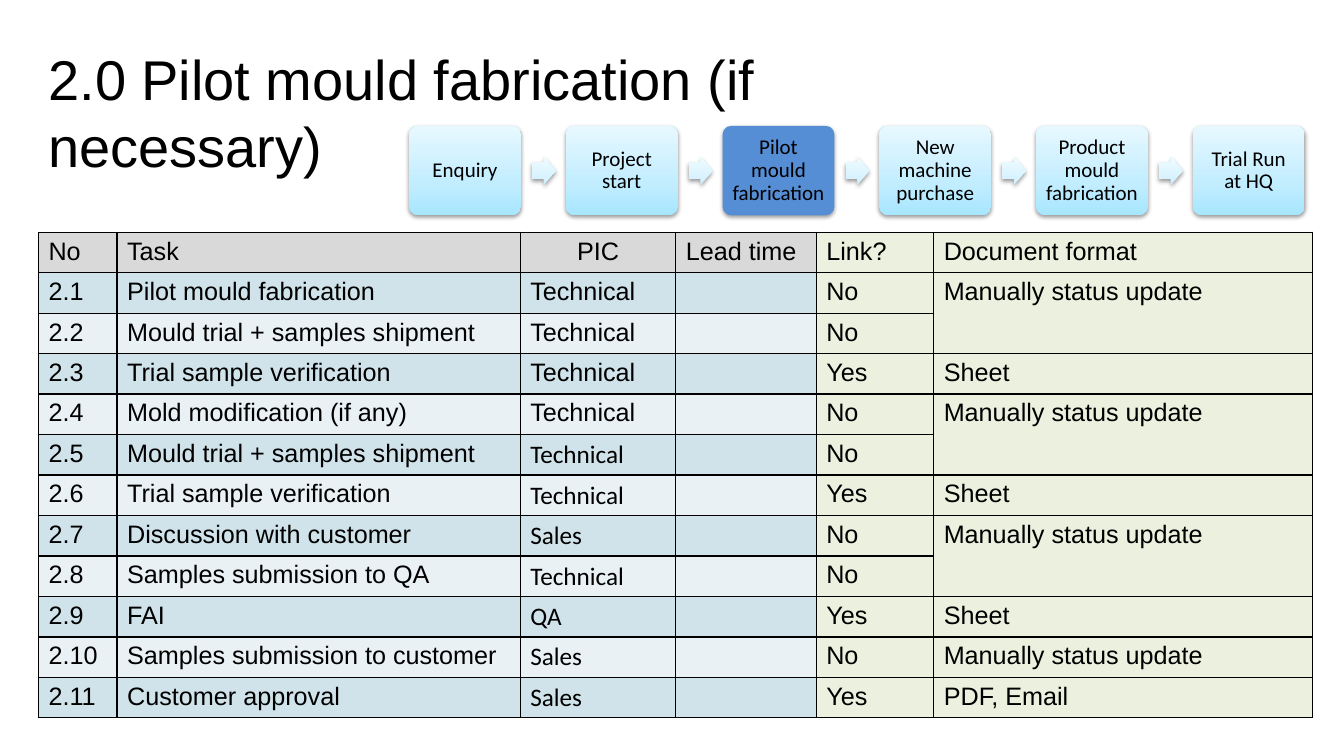
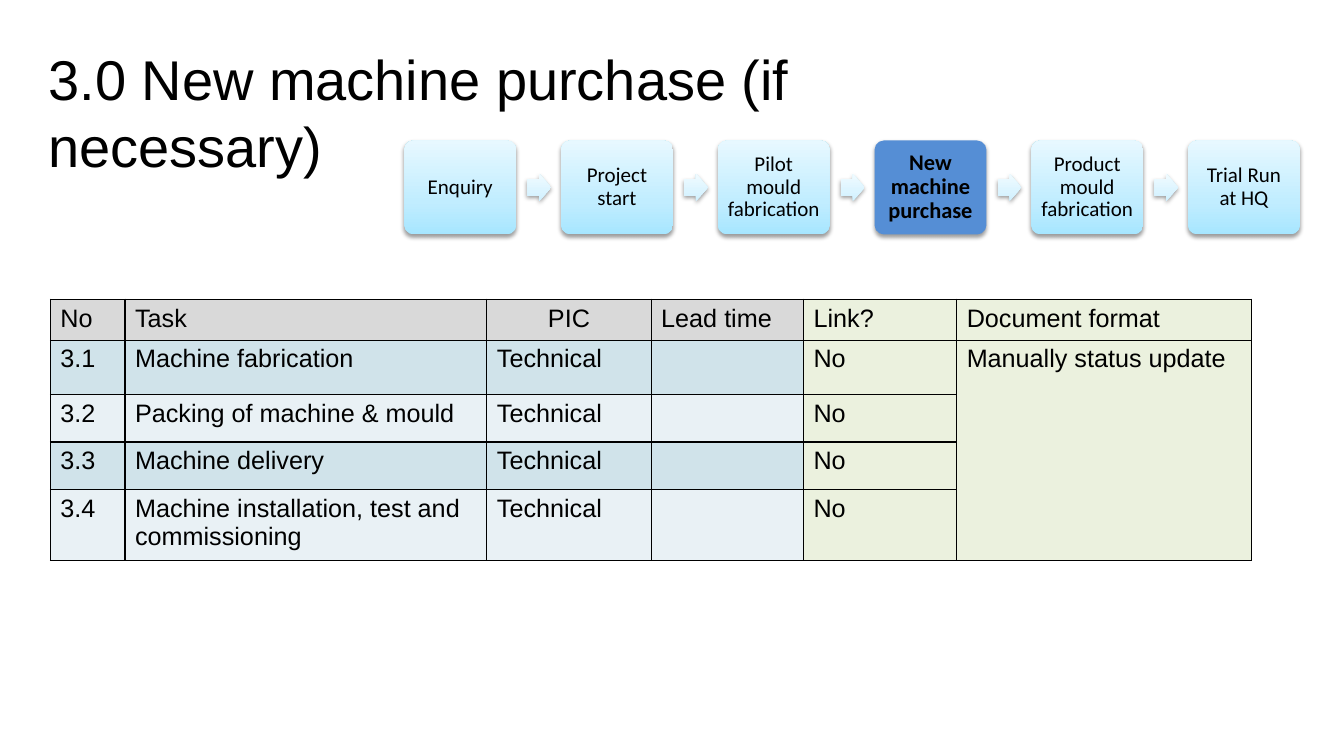
"""Build two project process slides with a stage flow and a task table."""
import lxml.etree
import pptx
import pptx.dml.color
import pptx.enum.shapes
import pptx.enum.text
import pptx.oxml.ns
import pptx.util

Cm = pptx.util.Cm
Pt = pptx.util.Pt
SHAPE = pptx.enum.shapes.MSO_SHAPE
ALIGN = pptx.enum.text.PP_ALIGN
ANCHOR = pptx.enum.text.MSO_ANCHOR
qn = pptx.oxml.ns.qn

INK = "000000"
ACTIVE = "558ED5"
HEADER = "D9D9D9"
STRIPES = ("D0E3EA", "E9F1F5")
DOCUMENT = "EBF1DE"
BOX_STOPS = ((0, "A7E6FF"), (35, "C1EDFF"), (100, "E7F8FF"))
ARROW_STOPS = ((0, "CEF0FF"), (35, "DBF4FF"), (100, "F1FBFF"))

STAGES = ("Enquiry", "Project start", "Pilot mould fabrication",
          "New machine purchase", "Product mould fabrication", "Trial Run at HQ")
STAGE_WIDTH, STAGE_PITCH = 2.82, 3.95
ARROW_OFFSET, ARROW_WIDTH, ARROW_HEIGHT = 3.1, 0.6, 0.7

HEADINGS = ("No", "Task", "PIC", "Lead time", "Link?", "Document format")
PIC, LINK, FORMAT = 2, 4, 5
MANUAL = "Manually status update"
SHEET = "Sheet"
JOINED = None

SLIDES = [
    {
        "title": "2.0 Pilot mould fabrication (if necessary)",
        "title_width": 23.8,
        "flow": {"left": 10.31, "top": 3.17, "height": 2.26,
                 "active": 2, "active_size": 15, "active_bold": False},
        "table": {"left": 0.97, "top": 5.85,
                  "columns": (1.98, 10.16, 3.92, 3.54, 2.96, 9.55),
                  "heights": (1.02,) * 12, "calibri_from": 5},
        "tasks": [
            ("2.1", "Pilot mould fabrication", "Technical", "", "No", MANUAL),
            ("2.2", "Mould trial + samples shipment", "Technical", "", "No", JOINED),
            ("2.3", "Trial sample verification", "Technical", "", "Yes", SHEET),
            ("2.4", "Mold modification (if any)", "Technical", "", "No", MANUAL),
            ("2.5", "Mould trial + samples shipment", "Technical", "", "No", JOINED),
            ("2.6", "Trial sample verification", "Technical", "", "Yes", SHEET),
            ("2.7", "Discussion with customer", "Sales", "", "No", MANUAL),
            ("2.8", "Samples submission to QA", "Technical", "", "No", JOINED),
            ("2.9", "FAI", "QA", "", "Yes", SHEET),
            ("2.10", "Samples submission to customer", "Sales", "", "No", MANUAL),
            ("2.11", "Customer approval", "Sales", "", "Yes", "PDF, Email"),
        ],
    },
    {
        "title": "3.0 New machine purchase (if necessary)",
        "title_width": 24.13,
        "flow": {"left": 10.19, "top": 3.54, "height": 2.37,
                 "active": 3, "active_size": 16, "active_bold": True},
        "table": {"left": 1.27, "top": 7.54,
                  "columns": (1.88, 9.12, 4.14, 3.84, 3.86, 7.42),
                  "heights": (1.03, 1.37, 1.2, 1.2, 1.78), "calibri_from": 5},
        "tasks": [
            ("3.1", "Machine fabrication", "Technical", "", "No", MANUAL),
            ("3.2", "Packing of machine & mould", "Technical", "", "No", JOINED),
            ("3.3", "Machine delivery", "Technical", "", "No", JOINED),
            ("3.4", "Machine installation, test and commissioning",
             "Technical", "", "No", JOINED),
        ],
    },
]


def color(value):
    """Turn a hex string into a colour."""
    return pptx.dml.color.RGBColor.from_string(value)


def element(parent, tag, **attributes):
    """Append an XML element and return it."""
    values = {name: str(value) for name, value in attributes.items()}
    return lxml.etree.SubElement(parent, qn(tag), values)


def style(para, size, font, bold=False):
    """Set the font of a paragraph."""
    para.font.size = Pt(size)
    para.font.name = font
    para.font.bold = bold
    para.font.color.rgb = color(INK)


def add_title(page, text, width):
    """Add the slide title."""
    box = page.shapes.add_textbox(Cm(0.97), Cm(1.0), Cm(width), Cm(1.96))
    box.text_frame.word_wrap = True
    para = box.text_frame.paragraphs[0]
    para.text = text
    style(para, 40, "Arial")


def fill_gradient(shape, stops):
    """Fill a shape with colour stops running from bottom to top."""
    shape.fill.gradient()
    shape.fill.gradient_angle = 90
    stop_list = shape.fill._xPr.find(".//" + qn("a:gsLst"))
    for stop in list(stop_list):
        stop_list.remove(stop)
    for percent, value in stops:
        stop = element(stop_list, "a:gs", pos=percent * 1000)
        element(stop, "a:srgbClr", val=value)


def add_flow_shape(group, kind, left, top, width, height, adjustments):
    """Add an unlined shape with a soft shadow below it."""
    shape = group.shapes.add_shape(kind, Cm(left), Cm(top), Cm(width), Cm(height))
    for index, value in enumerate(adjustments):
        shape.adjustments[index] = value
    shape.line.fill.background()
    shape.shadow.inherit = False
    effects = shape._element.spPr.find(qn("a:effectLst"))
    shadow = element(effects, "a:outerShdw", blurRad=Pt(3.1), dist=Pt(1.6),
                     dir=5400000, rotWithShape=0)
    tint = element(shadow, "a:srgbClr", val=INK)
    element(tint, "a:alpha", val=38000)
    return shape


def add_flow(page, left, top, height, active, active_size, active_bold):
    """Add the row of stages joined by arrows, with one stage marked."""
    group = page.shapes.add_group_shape()
    for index, label in enumerate(STAGES):
        stage_left = left + index * STAGE_PITCH
        stage = add_flow_shape(group, SHAPE.ROUNDED_RECTANGLE, stage_left, top,
                               STAGE_WIDTH, height, (0.1,))
        marked = index == active
        if marked:
            stage.fill.solid()
            stage.fill.fore_color.rgb = color(ACTIVE)
        else:
            fill_gradient(stage, BOX_STOPS)
        frame = stage.text_frame
        frame.word_wrap = True
        frame.vertical_anchor = ANCHOR.MIDDLE
        frame.margin_left = frame.margin_right = Cm(0.14)
        frame.margin_top = frame.margin_bottom = Cm(0.14)
        para = frame.paragraphs[0]
        para.text = label
        para.alignment = ALIGN.CENTER
        para.line_spacing = 0.9
        style(para, active_size if marked else 15, "Calibri", marked and active_bold)
        if index < len(STAGES) - 1:
            arrow = add_flow_shape(group, SHAPE.RIGHT_ARROW, stage_left + ARROW_OFFSET,
                                   top + (height - ARROW_HEIGHT) / 2,
                                   ARROW_WIDTH, ARROW_HEIGHT, (0.6, 0.5))
            fill_gradient(arrow, ARROW_STOPS)


def format_cell(cell, fill):
    """Give a cell thin black borders and a plain fill."""
    properties = cell._tc.get_or_add_tcPr()
    for side in ("a:lnL", "a:lnR", "a:lnT", "a:lnB"):
        line = element(properties, side, w=Pt(1))
        element(element(line, "a:solidFill"), "a:srgbClr", val=INK)
    cell.fill.solid()
    cell.fill.fore_color.rgb = color(fill)


def add_task_table(page, tasks, left, top, columns, heights, calibri_from):
    """Add the task table, joining document cells that continue downwards."""
    rows = [HEADINGS, *tasks]
    table = page.shapes.add_table(len(rows), len(columns), Cm(left), Cm(top),
                                  Cm(sum(columns)), Cm(sum(heights))).table
    table.first_row = False
    table.horz_banding = False
    for column, width in zip(table.columns, columns):
        column.width = Cm(width)
    for row, height in zip(table.rows, heights):
        row.height = Cm(height)
    for r, values in enumerate(rows):
        for c, text in enumerate(values):
            cell = table.cell(r, c)
            band = HEADER if r == 0 else STRIPES[(r - 1) % 2]
            format_cell(cell, DOCUMENT if c >= LINK else band)
            para = cell.text_frame.paragraphs[0]
            if text:
                para.text = text
            if r == 0 and c == PIC:
                para.alignment = ALIGN.CENTER
            style(para, 18, "Calibri" if c == PIC and r >= calibri_from else "Arial")
    starts = [r for r, values in enumerate(rows) if values[FORMAT] is not JOINED]
    for first, following in zip(starts, starts[1:] + [len(rows)]):
        if following - first > 1:
            table.cell(first, FORMAT).merge(table.cell(following - 1, FORMAT))


def main():
    """Build and save the deck."""
    deck = pptx.Presentation()
    deck.slide_width, deck.slide_height = Cm(33.87), Cm(19.05)
    for content in SLIDES:
        page = deck.slides.add_slide(deck.slide_layouts[6])
        add_title(page, content["title"], content["title_width"])
        add_flow(page, **content["flow"])
        add_task_table(page, content["tasks"], **content["table"])
    deck.save("out.pptx")


if __name__ == "__main__":
    main()
